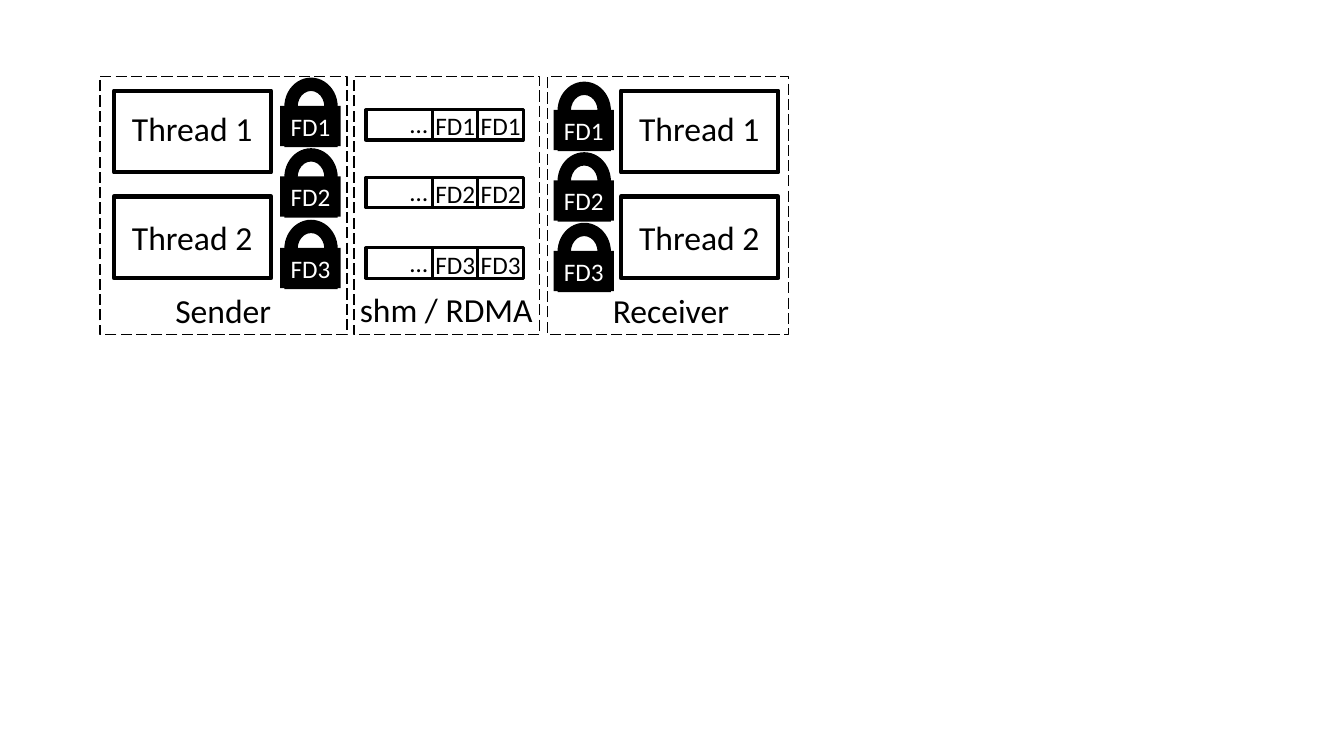
import dataclasses
import typing

import pptx
import pptx.dml.color
import pptx.enum.dml
import pptx.enum.shapes
import pptx.enum.text
import pptx.oxml.ns
import pptx.shapes.autoshape
import pptx.shapes.shapetree
import pptx.util
from lxml import etree

Tree = pptx.shapes.shapetree.SlideShapes | pptx.shapes.shapetree.GroupShapes
Shape = pptx.shapes.autoshape.Shape
Kind = pptx.enum.shapes.MSO_SHAPE
SCALE = 9144  # EMU per px, 100 px to the inch


@dataclasses.dataclass(frozen=True)
class Theme:
    black: str = "000000"
    white: str = "FFFFFF"
    font: str = "Calibri"
    large: int = 24
    small: int = 18
    thin: float = 1
    mid: float = 2.25
    thick: float = 3


class Box(typing.NamedTuple):
    left: int
    top: int
    width: int
    height: int


@dataclasses.dataclass(frozen=True)
class Panel:
    frame: Box
    label: str
    place: Box


@dataclasses.dataclass(frozen=True)
class Side:
    thread: int
    lock: int
    tops: tuple[int, ...]


THEME = Theme()
PANELS = (
    Panel(Box(99, 76, 245, 256), "Sender", Box(164, 283, 116, 50)),
    Panel(Box(543, 76, 239, 256), "Receiver", Box(598, 283, 137, 50)),
    Panel(Box(351, 76, 184, 256), "shm / RDMA", Box(347, 282, 193, 50)),
)
SIDES = (Side(113, 278, (77, 147, 218)), Side(616, 549, (81, 151, 221)))
FILES = ("FD1", "FD2", "FD3")
QUEUES = (109, 176, 246)
THREADS = ("Thread 1", "Thread 2")


def px(count: int) -> pptx.util.Emu:
    return pptx.util.Emu(count * SCALE)


def paint(hue: str) -> pptx.dml.color.RGBColor:
    return pptx.dml.color.RGBColor.from_string(hue)


def write(shape: Shape, words: str, size: int, hue: str) -> None:
    """Put one unwrapped run into a shape that grows with its text."""
    frame = shape.text_frame
    frame.word_wrap = False
    frame.auto_size = pptx.enum.text.MSO_AUTO_SIZE.SHAPE_TO_FIT_TEXT
    run = frame.paragraphs[0].add_run()
    run.text = words
    run.font.name = THEME.font
    run.font.size = pptx.util.Pt(size)
    run.font.color.rgb = paint(hue)


def label(tree: Tree, box: Box, words: str, size: int) -> None:
    write(tree.add_textbox(*map(px, box)), words, size, THEME.black)


def block(tree: Tree, kind: Kind, box: Box, fill: str | None, line: float = 0) -> Shape:
    """Add a preset shape; no fill for None, no outline for zero."""
    shape = tree.add_shape(kind, *map(px, box))
    shape.shadow.inherit = False
    if fill is None:
        shape.fill.background()
    else:
        shape.fill.solid()
        shape.fill.fore_color.rgb = paint(fill)
    if line:
        shape.line.color.rgb = paint(THEME.black)
        shape.line.width = pptx.util.Pt(line)
    else:
        shape.line.fill.background()
    return shape


def split(tree: Tree, left: int, top: int, height: int) -> None:
    """Draw the upright line between two queue cells."""
    line = tree.add_connector(
        pptx.enum.shapes.MSO_CONNECTOR.STRAIGHT,
        px(left), px(top), px(left), px(top + height),
    )
    line.line.color.rgb = paint(THEME.black)
    line.line.width = pptx.util.Pt(THEME.mid)
    etree.SubElement(line._element.spPr, pptx.oxml.ns.qn("a:effectLst"))


def panel(tree: Tree, item: Panel) -> None:
    frame = block(tree, Kind.RECTANGLE, item.frame, None, THEME.thin)
    frame.line.dash_style = pptx.enum.dml.MSO_LINE.LONG_DASH
    label(tree, item.place, item.label, THEME.large)


def queue(tree: Tree, top: int, name: str) -> None:
    group = tree.add_group_shape().shapes
    block(group, Kind.RECTANGLE, Box(363, top, 156, 30), THEME.white, THEME.mid)
    for left in (474, 429):
        split(group, left, top - 1, 30)
        label(group, Box(left - 7, top - 4, 60, 40), name, THEME.small)
    label(group, Box(397, top - 6, 38, 40), "…", THEME.small)


def lock(tree: Tree, left: int, top: int, name: str) -> None:
    group = tree.add_group_shape().shapes
    block(group, Kind.BLOCK_ARC, Box(left + 4, top, 53, 58), THEME.black)
    block(group, Kind.RECTANGLE, Box(left + 4, top + 32, 53, 37), THEME.black)
    plate = block(group, Kind.RECTANGLE, Box(left, top + 28, 60, 40), THEME.black)
    write(plate, name, THEME.small, THEME.white)


def thread(tree: Tree, left: int, row: int, name: str) -> None:
    group = tree.add_group_shape().shapes
    top = 90 + 105 * row
    block(group, Kind.RECTANGLE, Box(left, top, 156, 81), THEME.white, THEME.thick)
    label(group, Box(left + 8, top + 12 + 3 * row, 141, 50), name, THEME.large)


def main() -> None:
    deck = pptx.Presentation()
    deck.slide_width, deck.slide_height = px(1333), px(750)
    tree = deck.slides.add_slide(deck.slide_layouts.get_by_name("Blank")).shapes
    for item in PANELS:
        panel(tree, item)
    for top, name in zip(QUEUES, FILES):
        queue(tree, top, name)
    for side in SIDES:
        for row, name in enumerate(THREADS):
            thread(tree, side.thread, row, name)
        for top, name in zip(side.tops, FILES):
            lock(tree, side.lock, top, name)
    deck.save("out.pptx")


if __name__ == "__main__":
    main()
